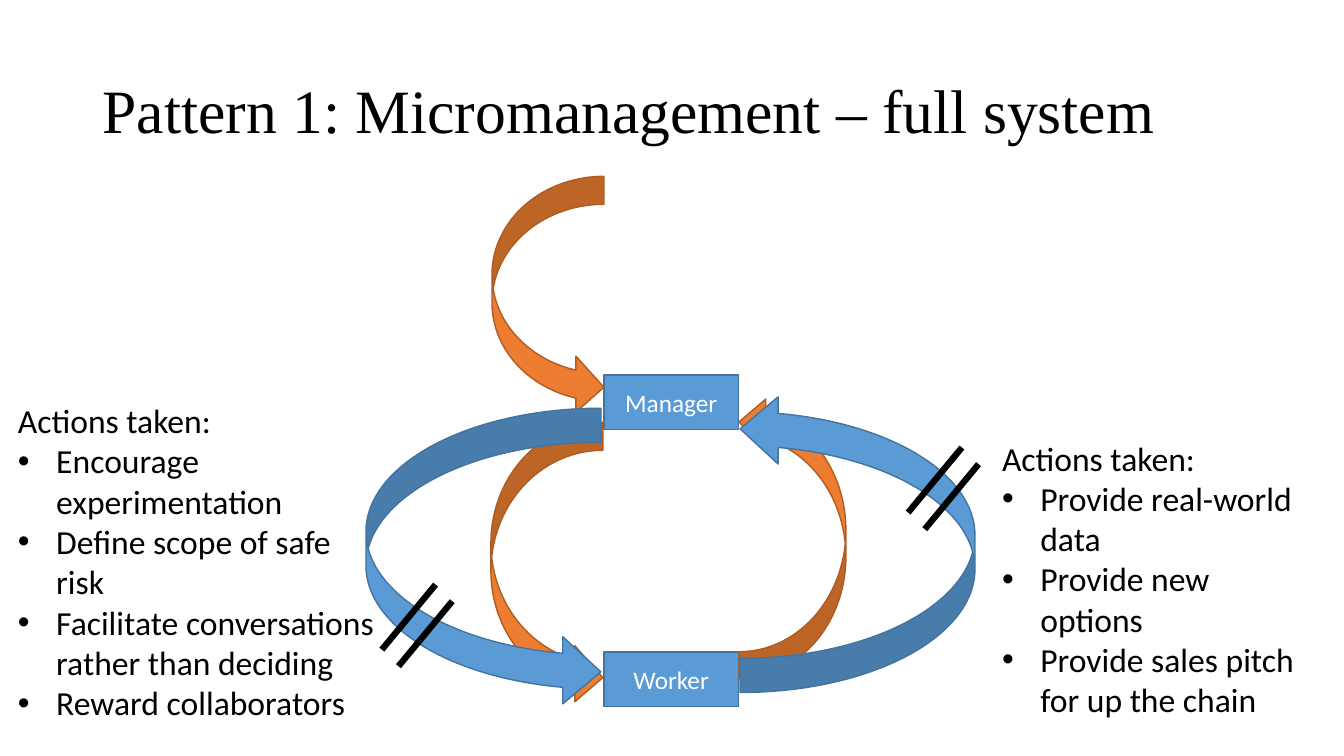
from pptx import Presentation
from pptx.dml.color import RGBColor
from pptx.enum.shapes import MSO_CONNECTOR as Link, MSO_SHAPE as Shape
from pptx.enum.text import MSO_ANCHOR as Anchor, PP_ALIGN as Align
from pptx.oxml.ns import qn
from pptx.util import Inches, Pt
from lxml.etree import SubElement as Sub

# The slide is a grid of 100 columns by 100 rows
WIDE, HIGH = Inches(13.33), Inches(7.5)
BLACK, WHITE = "000000", "FFFFFF"
BLUE, NAVY = "5B9BD5", "43739E"
ORANGE, RUST = "ED7D31", "AF5C24"
BROAD, SLIM = (0.25, 0.5, 0.25), (0.145, 0.286, 0.162)
INDENT = Inches(0.38)

LEFT = ["Encourage experimentation", "Define scope of safe risk",
        "Facilitate conversations rather than deciding",
        "Reward collaborators"]
RIGHT = ["Provide real-world data", "Provide new options",
         "Provide sales pitch for up the chain"]


def col(n):
    return round(WIDE * n / 100)


def row(n):
    return round(HIGH * n / 100)


def area(x, y, w, h):
    return col(x), row(y), col(w), row(h)


def color(code):
    return RGBColor.from_string(code)


def style(par, size, code, face="Calibri"):
    for run in par.runs:
        run.font.size = Pt(size)
        run.font.name = face
        run.font.color.rgb = color(code)


def paint(item, fill, edge):
    item.shadow.inherit = False
    item.fill.solid()
    item.fill.fore_color.rgb = color(fill)
    item.line.color.rgb = color(edge)
    item.line.width = Pt(1)


def title(slide, text):
    frame = slide.shapes.add_textbox(*area(6.9, 5.33, 86.27, 19.33)).text_frame
    frame.word_wrap = True
    frame.vertical_anchor = Anchor.MIDDLE
    frame.text = text
    par = frame.paragraphs[0]
    par.line_spacing = 0.9
    style(par, 44, BLACK, "Times New Roman")


def role(slide, name, y):
    box = slide.shapes.add_shape(Shape.RECTANGLE, *area(44.94, y, 10, 7.2))
    paint(box, BLUE, NAVY)
    frame = box.text_frame
    frame.text = name
    frame.vertical_anchor = Anchor.MIDDLE
    par = frame.paragraphs[0]
    par.alignment = Align.CENTER
    style(par, 18, WHITE)


def loop(slide, place, fill, edge, bend, turn=0):
    arrow = slide.shapes.add_shape(Shape.CURVED_RIGHT_ARROW, *area(*place))
    paint(arrow, fill, edge)
    for i, value in enumerate(bend):
        arrow.adjustments[i] = value
    arrow.rotation = turn


def breaks(slide, x, y):
    """Two parallel strokes that cut across a loop."""
    for i in range(2):
        a, b = x + 1.24 * i, y + 2.2 * i
        line = slide.shapes.add_connector(
            Link.STRAIGHT, col(a), row(b), col(a - 4), row(b + 8.6))
        line.line.color.rgb = color(BLACK)
        line.line.width = Pt(4.5)
        Sub(line._element.spPr, qn("a:effectLst"))


def actions(slide, place, items):
    frame = slide.shapes.add_textbox(*area(*place)).text_frame
    frame.word_wrap = True
    frame.text = "\n".join(["Actions taken:"] + items)
    for i, par in enumerate(frame.paragraphs):
        style(par, 24, BLACK)
        if i:
            props = par._p.get_or_add_pPr()
            props.set("marL", str(INDENT))
            props.set("indent", str(-INDENT))
            Sub(props, qn("a:buFont")).set("typeface", "Arial")
            Sub(props, qn("a:buChar")).set("char", "•")


def main():
    deck = Presentation()
    deck.slide_width, deck.slide_height = WIDE, HIGH
    slide = deck.slides.add_slide(deck.slide_layouts[6])
    title(slide, "Pattern 1: Micromanagement – full system")

    # Roles
    role(slide, "Manager", 49.6)
    role(slide, "Worker", 86.27)

    # Inner loops, then the outer pair
    loop(slide, (36.61, 23.33, 8.33, 31.6), ORANGE, RUST, BROAD)
    loop(slide, (36.53, 55.87, 8.33, 37.47), ORANGE, RUST, BROAD)
    loop(slide, (54.99, 52.27, 7.95, 37.47), ORANGE, RUST, BROAD, 180)
    loop(slide, (27.23, 54, 17.48, 39.33), BLUE, NAVY, SLIM)
    loop(slide, (55.06, 52.27, 17.48, 39.33), BLUE, NAVY, SLIM, 180)

    # Actions and the breaks they make
    actions(slide, (73.82, 57.2, 24.46, 39.07), RIGHT)
    actions(slide, (0.6, 52.27, 27.98, 44.4), LEFT)
    breaks(slide, 71.57, 59.2)
    breaks(slide, 32.41, 77.33)
    deck.save("out.pptx")


if __name__ == "__main__":
    main()
